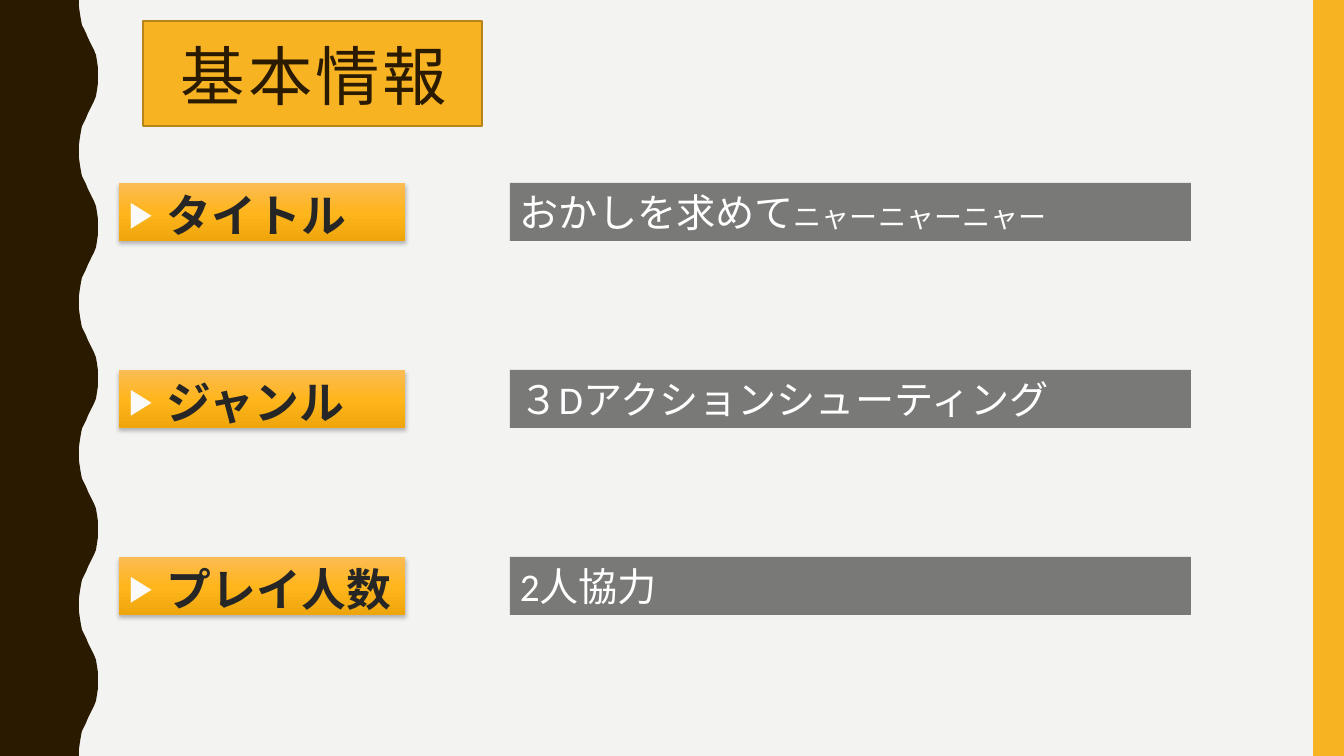
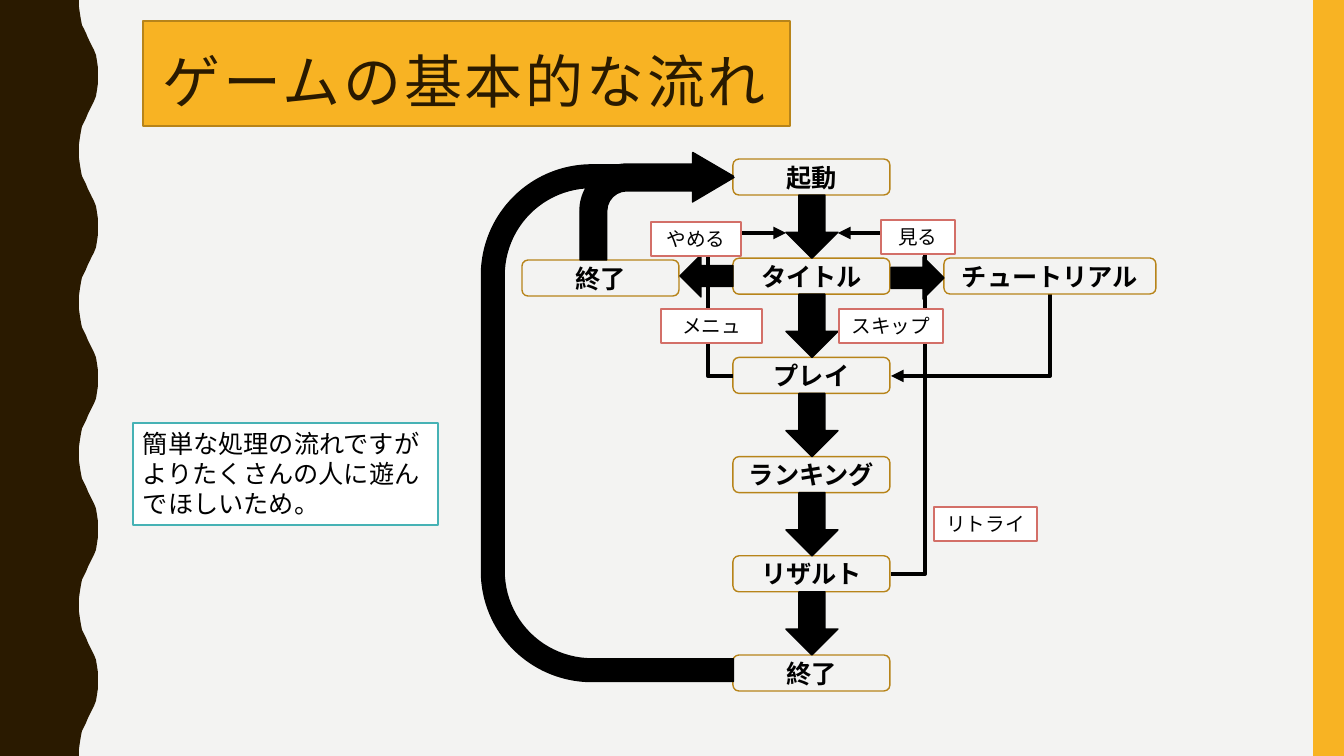
from itertools import accumulate

from lxml import etree
from pptx import Presentation
from pptx.dml.color import RGBColor
from pptx.enum import shapes, text
from pptx.oxml import ns
from pptx import util as u

SLIDE_W, SLIDE_H = 1344, 756
EMU_PER_PX = 12192000 / SLIDE_W

PAPER = RGBColor(0xF3, 0xF3, 0xF2)
BROWN = RGBColor(0x2A, 0x1A, 0x00)
AMBER = RGBColor(0xF8, 0xB3, 0x23)
OCHRE = RGBColor(0xB7, 0x84, 0x1A)
BLACK = RGBColor(0x00, 0x00, 0x00)
WHITE = RGBColor(0xFF, 0xFF, 0xFF)
CHARCOAL = RGBColor(0x26, 0x26, 0x26)
MARKER = RGBColor(0xFA, 0xFA, 0xFA)
CORAL = RGBColor(0xD3, 0x6F, 0x68)
TEAL = RGBColor(0x46, 0xB2, 0xB5)
LABEL_GRADIENT = (
    (0, RGBColor(0xFB, 0xBC, 0x54)),
    (50000, RGBColor(0xFF, 0xB5, 0x1C)),
    (100000, RGBColor(0xEF, 0xA6, 0x0C)),
)

BODY_FONT = "Calibri"
TITLE_FONT = "Roboto Condensed"
WAVES = 5
WAVE_EDGE = 79
WAVE_SWELL = ((0, 0), (7, 0), (7, 1), (6, 1), (5, 1), (4, 2), (4, 2), (5, 2),
              (4, 2), (4, 2), (4, 2), (5, 2), (6, 1), (7, 1), (7, 0))

PRESET = shapes.MSO_SHAPE
CENTER = text.PP_ALIGN.CENTER


def px(length):
    return u.Emu(round(length * EMU_PER_PX))


def child(parent, tag, **attributes):
    return etree.SubElement(parent, ns.qn(tag), attributes)


def add_block(slide, preset, box, fill=None, line=None):
    block = slide.shapes.add_shape(preset, *map(px, box))
    block.shadow.inherit = False
    if fill is None:
        block.fill.background()
    else:
        block.fill.solid()
        block.fill.fore_color.rgb = fill
    if line is None:
        block.line.fill.background()
    else:
        block.line.color.rgb = line
        block.line.width = u.Pt(1)
    return block


def write(block, words, size, color=BLACK, bold=False, font=BODY_FONT,
          align=text.PP_ALIGN.LEFT, anchor=text.MSO_ANCHOR.TOP):
    frame = block.text_frame
    frame.word_wrap = True
    frame.vertical_anchor = anchor
    frame.text = words
    for paragraph in frame.paragraphs:
        paragraph.alignment = align
        for run in paragraph.runs:
            run.font.name = font
            run.font.size = u.Pt(size)
            run.font.bold = bold
            run.font.color.rgb = color
    return frame


def add_backdrop(slide):
    swell = list(zip(accumulate(dy for dy, _ in WAVE_SWELL),
                     accumulate(dx for _, dx in WAVE_SWELL)))
    period = SLIDE_H / WAVES
    wave = swell + [(period - dy, dx) for dy, dx in reversed(swell)]
    edge = [(px(WAVE_EDGE + dx), px(index * period + dy))
            for index in range(WAVES) for dy, dx in wave]
    builder = slide.shapes.build_freeform(0, 0)
    builder.add_line_segments(edge + [(0, px(SLIDE_H))], close=True)
    curtain = builder.convert_to_shape()
    curtain.shadow.inherit = False
    curtain.fill.solid()
    curtain.fill.fore_color.rgb = BROWN
    curtain.line.fill.background()
    add_block(slide, PRESET.RECTANGLE, (1313, 0, 31, SLIDE_H), AMBER)


def add_title(slide, box, words, size, inset_x, inset_y):
    left, top, width, height = box
    add_block(slide, PRESET.RECTANGLE, box, AMBER, OCHRE)
    heading = slide.shapes.add_textbox(
        px(left + inset_x), px(top + inset_y), px(width - inset_x), px(87))
    frame = write(heading, words, size, BROWN, font=TITLE_FONT)
    frame.margin_right = 0
    paragraph = frame.paragraphs[0]
    paragraph.line_spacing = 0.9
    paragraph.runs[0].font._element.set("spc", "200")


def style_label(label):
    label.fill.gradient()
    label.fill.gradient_angle = 270
    properties = label.element.spPr
    stops = properties.find(".//" + ns.qn("a:gsLst"))
    for stop in list(stops):
        stops.remove(stop)
    for position, color in LABEL_GRADIENT:
        stop = child(stops, "a:gs", pos=str(position))
        child(stop, "a:srgbClr", val=str(color))
    shadow = child(properties.find(ns.qn("a:effectLst")), "a:outerShdw",
                   blurRad=str(u.Pt(3)), dist=str(u.Pt(2)), dir="5400000",
                   algn="ctr", rotWithShape="0")
    child(child(shadow, "a:srgbClr", val=str(BLACK)), "a:alpha", val="25000")


def add_marker(paragraph):
    indent = px(38)
    properties = paragraph._p.get_or_add_pPr()
    properties.set("marL", str(indent))
    properties.set("indent", str(-indent))
    child(child(properties, "a:buClr"), "a:srgbClr", val=str(MARKER))
    child(properties, "a:buSzPct", val="80000")
    child(properties, "a:buFont", typeface=BODY_FONT)
    child(properties, "a:buChar", char="▶")


def add_facts(slide, box, facts):
    left, top, width, height = box
    row_height, label_width, value_offset = 58, 286, 391
    pitch = (height - row_height) / (len(facts) - 1)
    for index, (name, value, aside) in enumerate(facts):
        y = top + index * pitch
        label = add_block(slide, PRESET.RECTANGLE,
                          (left, y, label_width, row_height), AMBER)
        style_label(label)
        frame = write(label, name, 32, CHARCOAL, bold=True)
        add_marker(frame.paragraphs[0])

        answer = add_block(
            slide, PRESET.RECTANGLE,
            (left + value_offset, y, width - value_offset, row_height), BLACK)
        tint = answer.element.spPr.find(
            ns.qn("a:solidFill") + "/" + ns.qn("a:srgbClr"))
        child(tint, "a:alpha", val="50000")
        frame = write(answer, value, 28, WHITE)
        if aside:
            run = frame.paragraphs[0].add_run()
            run.text = aside
            run.font.name = BODY_FONT
            run.font.size = u.Pt(20)
            run.font.color.rgb = WHITE


def add_route(slide, start, finish, via_x=None, arrow_end="a:tailEnd"):
    route = slide.shapes.add_connector(
        shapes.MSO_CONNECTOR.ELBOW, *map(px, start + finish))
    route.line.color.rgb = BLACK
    route.line.width = u.Pt(3)
    child(route.line._get_or_add_ln(), arrow_end, type="triangle")
    properties = route.element.spPr
    child(properties, "a:effectLst")
    geometry = properties.find(ns.qn("a:prstGeom"))
    if via_x is None:
        geometry.set("prst", "bentConnector2")
        return
    bend = round(100000 * (via_x - start[0]) / (finish[0] - start[0]))
    guides = geometry.find(ns.qn("a:avLst"))
    if guides is None:
        guides = child(geometry, "a:avLst")
    child(guides, "a:gd", name="adj1", fmla=f"val {bend}")


def add_flow(slide, box):
    left, top, width, height = box
    step_x, step_y, step_width, step_height = 252, 7, 157, 36
    steps = ("起動", "タイトル", "プレイ", "ランキング", "リザルト", "終了")
    pitch = (height - step_y - step_height) / (len(steps) - 1)

    def place(x, y, *size):
        return (left + x, top + y) + size

    def add_arrow(preset, spot, adjustments=()):
        arrow = add_block(slide, preset, place(*spot), BLACK, BLACK)
        for index, value in enumerate(adjustments):
            arrow.adjustments[index] = value
        return arrow

    add_route(slide, place(410, 224), place(569, 142), arrow_end="a:headEnd")

    nodes = [(name, (step_x, step_y + index * pitch, step_width, step_height))
             for index, name in enumerate(steps)]
    nodes += [("チュートリアル", (463, 106, width - 463, step_height)),
              ("終了", (41, 108, step_width, step_height))]
    for name, spot in nodes:
        node = add_block(slide, PRESET.ROUNDED_RECTANGLE, place(*spot),
                         line=OCHRE)
        write(node, name, 18, bold=True, align=CENTER,
              anchor=text.MSO_ANCHOR.MIDDLE)

    for index in range(len(steps) - 1):
        y = step_y + step_height + index * pitch
        add_arrow(PRESET.DOWN_ARROW, (305, y, 52, pitch - step_height))

    restart = add_arrow(PRESET.U_TURN_ARROW, (-138, 139, 529, 252),
                        (0.09, 0.094, 0.161, 0.438, 1))
    restart.rotation = 270
    add_arrow(PRESET.BENT_ARROW, (99, 1, 154, 107),
              (0.25, 0.229, 0.387, 0.438))

    add_route(slide, place(252, 224), place(305, 81), left + 227)
    add_arrow(PRESET.LEFT_ARROW, (199, 103, 53, 42))
    add_route(slide, place(410, 422), place(357, 81), left + 444)
    add_arrow(PRESET.RIGHT_ARROW, (410, 105, 53, 42))

    for name, x, y, tag_width in (
            ("メニュ", 180, 157, 101), ("やめる", 170, 70, 90),
            ("見る", 400, 68, 74), ("スキップ", 358, 157, 104),
            ("リトライ", 453, 355, 103)):
        tag = add_block(slide, PRESET.RECTANGLE, place(x, y, tag_width, 34),
                        WHITE, CORAL)
        write(tag, name, 14, align=CENTER)


def add_note(slide, box, words):
    note = add_block(slide, PRESET.RECTANGLE, box, WHITE, TEAL)
    write(note, words, 18)


def build_basics(slide):
    add_backdrop(slide)
    add_facts(slide, (119, 183, 1072, 432), (
        ("タイトル", "おかしを求めて", "ニャーニャーニャー"),
        ("ジャンル", "３Dアクションシューティング", ""),
        ("プレイ人数", "2人協力", ""),
    ))
    add_title(slide, (143, 21, 339, 105), "基本情報", 46, 28, 19)


def build_game_flow(slide):
    add_backdrop(slide)
    add_title(slide, (143, 21, 647, 105), "ゲームの基本的な流れ", 41.4, 10, 27)
    add_flow(slide, (481, 152, 675, 539))
    add_note(slide, (133, 423, 305, 102),
             "簡単な処理の流れですが\nよりたくさんの人に遊んでほしいため。")


def main():
    deck = Presentation()
    deck.slide_width, deck.slide_height = px(SLIDE_W), px(SLIDE_H)
    paper = deck.slide_master.background.fill
    paper.solid()
    paper.fore_color.rgb = PAPER
    for build in (build_basics, build_game_flow):
        build(deck.slides.add_slide(deck.slide_layouts[6]))
    deck.save("out.pptx")


if __name__ == "__main__":
    main()
